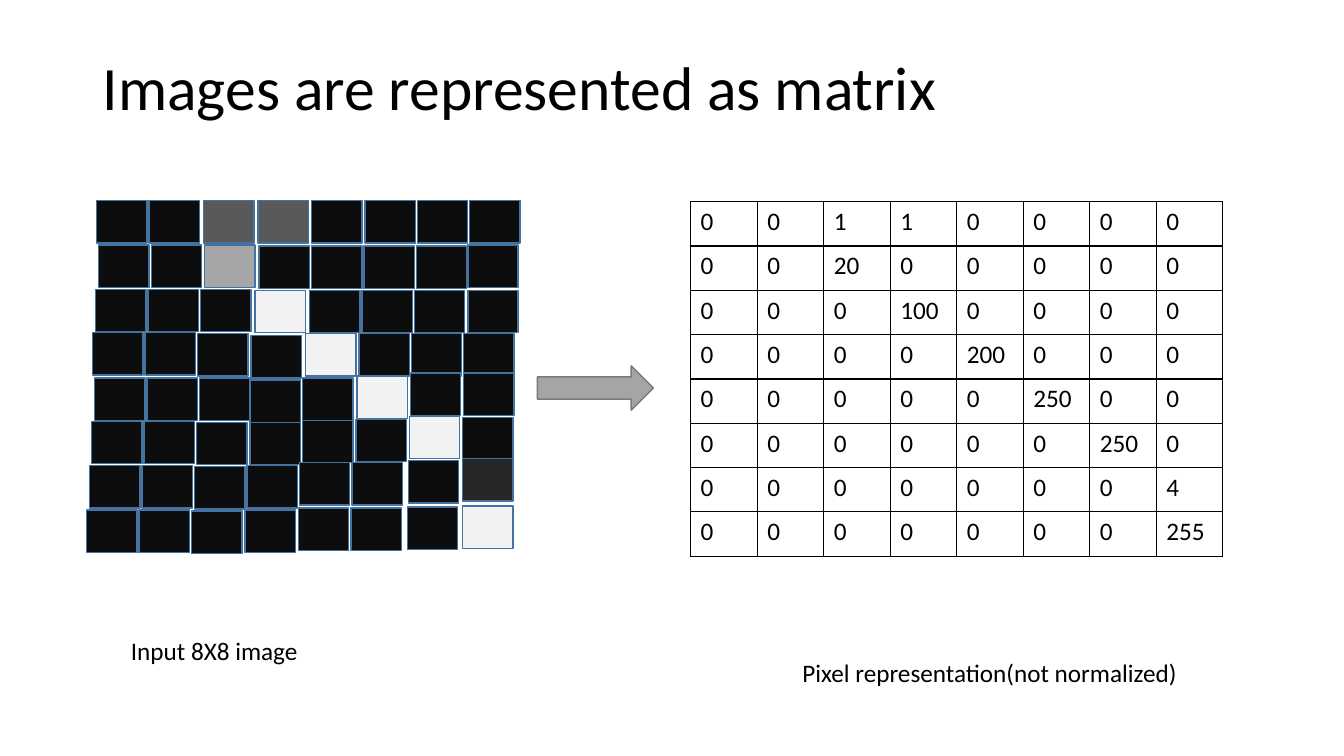
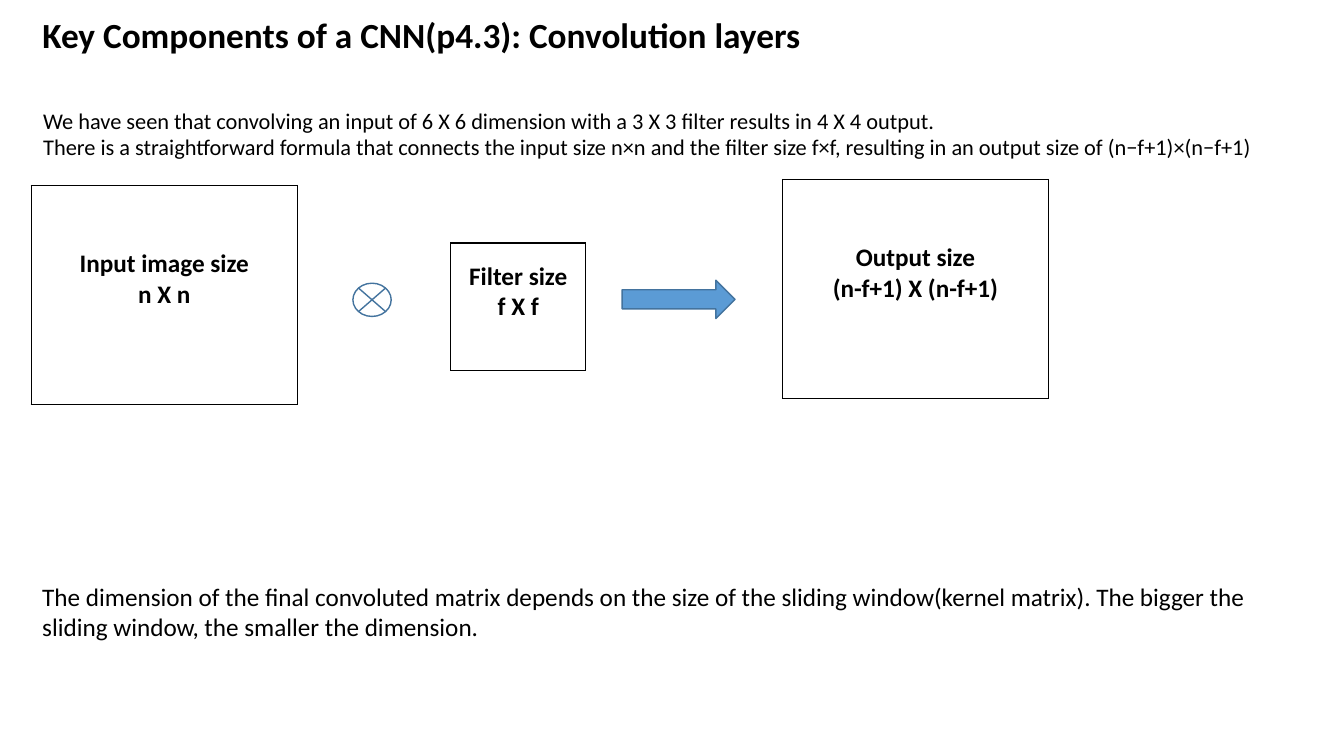
import pptx
import pptx.util
import pptx.dml.color
import pptx.enum.shapes
import pptx.enum.text
import pptx.oxml
import pptx.oxml.ns

PX = 9144  # 100 px to the inch
FONT = "Calibri"
BLACK, WHITE, EDGE = "000000", "FFFFFF", "43739E"
KIND = pptx.enum.shapes.MSO_SHAPE
LEFT = pptx.enum.text.PP_ALIGN.LEFT
MID = pptx.enum.text.PP_ALIGN.CENTER

# Pixel values, and the shade that shows each of them
MATRIX = [
    [0, 0, 1, 1, 0, 0, 0, 0],
    [0, 0, 20, 0, 0, 0, 0, 0],
    [0, 0, 0, 100, 0, 0, 0, 0],
    [0, 0, 0, 0, 200, 0, 0, 0],
    [0, 0, 0, 0, 0, 250, 0, 0],
    [0, 0, 0, 0, 0, 0, 250, 0],
    [0, 0, 0, 0, 0, 0, 0, 4],
    [0, 0, 0, 0, 0, 0, 0, 255],
]
SHADES = {0: "0D0D0D", 1: "595959", 4: "262626", 20: "A6A6A6"}
LIGHT = "F2F2F2"

# Uneven places of the tiles, from the corner of the grid
LEFTS = [
    [10, 62, 116, 170, 223, 276, 328, 380],
    [12, 64, 117, 171, 223, 275, 327, 378],
    [9, 61, 113, 167, 221, 273, 325, 378],
    [6, 58, 110, 163, 217, 270, 322, 374],
    [8, 60, 112, 162, 214, 268, 321, 374],
    [5, 57, 109, 162, 214, 267, 320, 373],
    [3, 55, 107, 159, 211, 263, 319, 373],
    [0, 52, 104, 157, 210, 262, 318, 373],
]
TOPS = [
    [0, 0, 0, 0, 0, 0, 0, 0],
    [44, 44, 44, 45, 45, 45, 45, 44],
    [88, 88, 88, 89, 89, 89, 89, 89],
    [131, 131, 132, 134, 132, 132, 132, 132],
    [176, 176, 176, 178, 176, 174, 171, 171],
    [219, 219, 220, 220, 218, 217, 214, 215],
    [263, 263, 264, 263, 260, 260, 258, 256],
    [307, 307, 308, 307, 305, 305, 304, 303],
]


def emu(*sizes):
    return [pptx.util.Emu(n * PX) for n in sizes]


def color(code):
    return pptx.dml.color.RGBColor.from_string(code)


def write(frame, lines, size, bold=False, align=LEFT):
    """Fill a text frame, one paragraph a line."""
    frame.text = "\n".join(lines)
    for para in frame.paragraphs:
        para.alignment = align
        font = para.font
        font.name, font.size, font.bold = FONT, pptx.util.Pt(size), bold
        font.color.rgb = color(BLACK)


def add_title(slide, box, text, size, bold=False):
    title = slide.shapes.title
    title.left, title.top, title.width, title.height = emu(*box)
    frame = title.text_frame
    write(frame, [text], size, bold)
    frame.word_wrap = True
    frame.auto_size = pptx.enum.text.MSO_AUTO_SIZE.NONE
    frame.vertical_anchor = pptx.enum.text.MSO_ANCHOR.MIDDLE
    frame.paragraphs[0].line_spacing = 0.9


def add_text(slide, box, lines, size, wrap=True):
    frame = slide.shapes.add_textbox(*emu(*box)).text_frame
    frame.word_wrap = wrap
    write(frame, lines, size)


def add_form(slide, kind, box, fill, line=EDGE):
    form = slide.shapes.add_shape(kind, *emu(*box))
    form.shadow.inherit = False
    form.fill.solid()
    form.fill.fore_color.rgb = color(fill)
    form.line.color.rgb = color(line)
    form.line.width = pptx.util.Pt(1)


def rule_cell(cell):
    """White fill and thin black borders on all sides."""
    cell.fill.solid()
    cell.fill.fore_color.rgb = color(WHITE)
    props = cell._tc.get_or_add_tcPr()
    for spot, side in enumerate("LRTB"):
        props.insert(spot, pptx.oxml.parse_xml(
            f'<a:ln{side} {pptx.oxml.ns.nsdecls("a")} w="12700"><a:solidFill>'
            f'<a:srgbClr val="{BLACK}"/></a:solidFill></a:ln{side}>'))


def add_grid(slide, box, rows, cols):
    """Add a plain ruled table with equal cells."""
    grid = slide.shapes.add_table(rows, cols, *emu(*box)).table
    grid.first_row = grid.horz_banding = False
    for col in grid.columns:
        col.width, = emu(box[2] // cols)
    for row in grid.rows:
        row.height, = emu(box[3] // rows)
    for cell in grid.iter_cells():
        rule_cell(cell)
    return grid


def add_tiles(slide, left, top):
    for values, xs, ys in zip(MATRIX, LEFTS, TOPS):
        for value, x, y in zip(values, xs, ys):
            add_form(slide, KIND.RECTANGLE, (left + x, top + y, 50, 42),
                     SHADES.get(value, LIGHT))


def add_matrix(slide, box):
    grid = add_grid(slide, box, len(MATRIX), len(MATRIX[0]))
    for r, values in enumerate(MATRIX):
        for c, value in enumerate(values):
            write(grid.cell(r, c).text_frame, [str(value)], 18)


def add_block(slide, box, lines):
    """One framed size, its text a little above the middle."""
    cell = add_grid(slide, box, 1, 1).cell(0, 0)
    cell.vertical_anchor = pptx.enum.text.MSO_ANCHOR.MIDDLE
    cell.margin_bottom, = emu(35)
    write(cell.text_frame, lines, 18, True, MID)


def matrix_slide(slide):
    add_title(slide, (92, 40, 1150, 99), "Images are represented as matrix", 44)
    # Image, arrow and its values
    add_tiles(slide, 86, 199)
    add_form(slide, KIND.RIGHT_ARROW, (533, 363, 115, 44), "A5A5A5", "7A7A7A")
    add_matrix(slide, (685, 200, 528, 352))
    # Captions
    add_text(slide, (120, 625, 188, 40), ["Input 8X8 image"], 18, False)
    add_text(slide, (786, 647, 396, 40),
             ["Pixel representation(not normalized)"], 18, False)


def layer_slide(slide):
    add_title(slide, (32, 10, 805, 54),
              "Key Components of a CNN(p4.3): Convolution layers", 25.2, True)
    add_text(slide, (33, 101, 1259, 64), [
        "We have seen that convolving an input of 6 X 6 dimension with a "
        "3 X 3 filter results in 4 X 4 output.",
        "There is a straightforward formula that connects the input size n×n "
        "and the filter size f×f, resulting in an output size of "
        "(n−f+1)×(n−f+1)"], 16)
    # Input, filter and output sizes
    add_block(slide, (31, 184, 264, 217), ["Input image size", "n X n"])
    add_form(slide, KIND.FLOWCHART_SUMMING_JUNCTION, (350, 281, 38, 33), WHITE)
    add_block(slide, (447, 241, 134, 127), ["Filter size", "f X f"])
    add_form(slide, KIND.RIGHT_ARROW, (617, 278, 112, 38), "5B9BD5")
    add_block(slide, (776, 178, 264, 217), ["Output size", "(n-f+1) X (n-f+1)"])
    # Closing remark
    add_text(slide, (32, 572, 1279, 71), [
        "The dimension of the final convoluted matrix depends on the size of "
        "the sliding window(kernel matrix). The bigger the sliding window, "
        "the smaller the dimension."], 18)


def main():
    deck = pptx.Presentation()
    deck.slide_width, deck.slide_height = emu(1333, 750)
    for build in (matrix_slide, layer_slide):
        build(deck.slides.add_slide(deck.slide_layouts[5]))
    deck.save("out.pptx")


if __name__ == "__main__":
    main()
